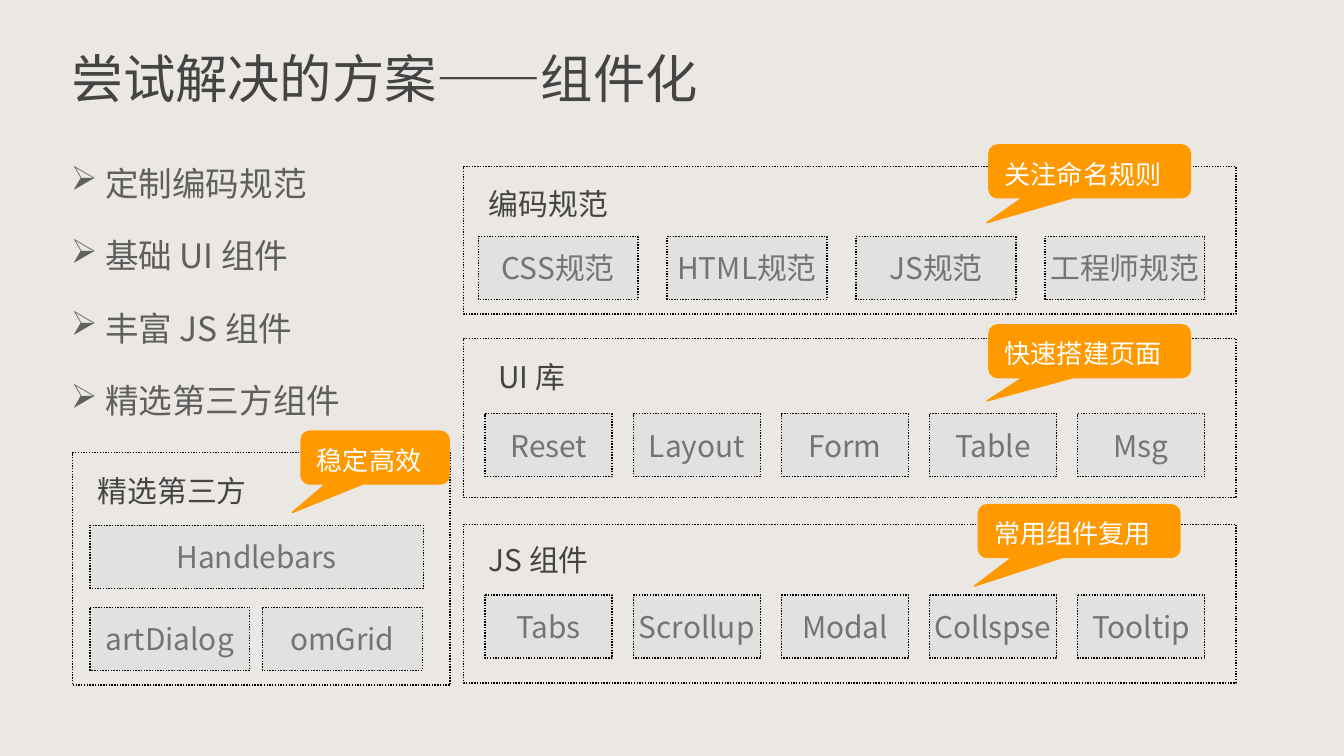
from dataclasses import dataclass

import pptx
import pptx.dml.color
import pptx.enum.dml
import pptx.enum.shapes
import pptx.enum.text
import pptx.oxml.ns
import pptx.shapes.autoshape
import pptx.slide
import pptx.text.text
import pptx.util
from lxml import etree
from pptx.util import Cm

COLORS = {
    "background": "EBE7E3",
    "heading": "444444",
    "bullet": "5F5F5F",
    "module": "E1E1E1",
    "module_text": "747474",
    "border": "000000",
    "callout": "FF9900",
    "callout_text": "FFFFFF",
}
CJK_FONT = "Noto Sans CJK SC"
MODULE_HEIGHT = 1.19
SHAPES = pptx.enum.shapes.MSO_SHAPE
ALIGN = pptx.enum.text.PP_ALIGN
ANCHOR = pptx.enum.text.MSO_ANCHOR
AUTO_SIZE = pptx.enum.text.MSO_AUTO_SIZE


@dataclass
class Box:
    left: float
    top: float
    width: float
    height: float


@dataclass
class ModuleRow:
    left: float
    top: float
    width: float
    pitch: float
    names: list[str]


@dataclass
class Panel:
    frame: Box
    caption: str
    caption_box: Box
    rows: list[ModuleRow]
    font: str = CJK_FONT


@dataclass
class Callout:
    box: Box
    text: str
    tip_x: float
    tip_y: float


PANELS = [
    Panel(Box(8.76, 3.15, 14.6, 2.79), "编码规范", Box(8.99, 3.38, 4.52, 0.94),
          [ModuleRow(9.04, 4.47, 3.02, 3.57,
                     ["CSS规范", "HTML规范", "JS规范", "工程师规范"])], "Arial"),
    Panel(Box(8.76, 6.4, 14.6, 3), "UI 库", Box(9.17, 6.65, 2.77, 0.94),
          [ModuleRow(9.17, 7.82, 2.4, 2.8,
                     ["Reset", "Layout", "Form", "Table", "Msg"])]),
    Panel(Box(8.76, 9.91, 14.6, 3), "JS 组件", Box(8.99, 10.11, 2.77, 0.94),
          [ModuleRow(9.17, 11.25, 2.4, 2.8,
                     ["Tabs", "Scrollup", "Modal", "Collspse", "Tooltip"])]),
    Panel(Box(1.37, 8.56, 7.14, 4.39), "精选第三方", Box(1.6, 8.81, 3.38, 0.94),
          [ModuleRow(1.7, 9.93, 6.3, 0, ["Handlebars"]),
           ModuleRow(1.7, 11.48, 3.02, 3.26, ["artDialog", "omGrid"])], "Arial"),
]
CALLOUTS = [
    Callout(Box(18.69, 2.74, 3.81, 1), "关注命名规则", -0.51, 0.97),
    Callout(Box(18.69, 6.14, 3.81, 1), "快速搭建页面", -0.51, 0.94),
    Callout(Box(18.49, 9.54, 3.81, 1), "常用组件复用", -0.52, 1.04),
    Callout(Box(5.69, 8.15, 2.8, 1), "稳定高效", -0.56, 1.04),
]
GOALS = [" 定制编码规范", " 基础 UI 组件", " 丰富 JS 组件", " 精选第三方组件"]


def rgb(role: str) -> pptx.dml.color.RGBColor:
    return pptx.dml.color.RGBColor.from_string(COLORS[role])


def lengths(box: Box) -> tuple[int, ...]:
    return Cm(box.left), Cm(box.top), Cm(box.width), Cm(box.height)


def write(paragraph: pptx.text.text._Paragraph, text: str, size: float,
          role: str, font: str = CJK_FONT) -> None:
    run = paragraph.add_run()
    run.text = text
    run.font.size = pptx.util.Pt(size)
    run.font.color.rgb = rgb(role)
    run.font.name = font
    east_asian = etree.SubElement(run.font._element, pptx.oxml.ns.qn("a:ea"))
    east_asian.set("typeface", CJK_FONT)


def add_filled(slide: pptx.slide.Slide, preset: SHAPES, box: Box,
               fill: str, line: str) -> pptx.shapes.autoshape.Shape:
    shape = slide.shapes.add_shape(preset, *lengths(box))
    shape.shadow.inherit = False
    shape.fill.solid()
    shape.fill.fore_color.rgb = rgb(fill)
    shape.line.color.rgb = rgb(line)
    shape.line.width = pptx.util.Pt(0.75)
    if line == "border":
        shape.line.dash_style = pptx.enum.dml.MSO_LINE.ROUND_DOT
    shape.text_frame.vertical_anchor = ANCHOR.MIDDLE
    return shape


def add_text_frame(slide: pptx.slide.Slide, box: Box) -> pptx.text.text.TextFrame:
    frame = slide.shapes.add_textbox(*lengths(box)).text_frame
    frame.word_wrap = True
    frame.auto_size = AUTO_SIZE.SHAPE_TO_FIT_TEXT
    return frame


def add_title(slide: pptx.slide.Slide, text: str) -> None:
    title = slide.shapes.title
    title.left, title.top, title.width, title.height = lengths(Box(1.09, 0.74, 17.6, 1.45))
    title.text_frame.vertical_anchor = ANCHOR.TOP
    title.text_frame.auto_size = AUTO_SIZE.SHAPE_TO_FIT_TEXT
    heading = title.text_frame.paragraphs[0]
    heading.alignment = ALIGN.LEFT
    write(heading, text, 28, "heading")


def add_goals(slide: pptx.slide.Slide, goals: list[str]) -> None:
    frame = add_text_frame(slide, Box(1.09, 2.34, 16.79, 8.18))
    for index, goal in enumerate(goals):
        paragraph = frame.add_paragraph() if index else frame.paragraphs[0]
        paragraph.line_spacing = 1.8
        properties = paragraph._p.get_or_add_pPr()
        bullet_color = etree.SubElement(properties, pptx.oxml.ns.qn("a:buClr"))
        etree.SubElement(bullet_color, pptx.oxml.ns.qn("a:srgbClr")).set("val", COLORS["bullet"])
        etree.SubElement(properties, pptx.oxml.ns.qn("a:buChar")).set("char", "➢")
        write(paragraph, goal, 18, "bullet")


def add_panel(slide: pptx.slide.Slide, panel: Panel) -> None:
    add_filled(slide, SHAPES.RECTANGLE, panel.frame, "background", "border")
    caption = add_text_frame(slide, panel.caption_box)
    write(caption.paragraphs[0], panel.caption, 16, "heading", panel.font)
    for row in panel.rows:
        for index, name in enumerate(row.names):
            box = Box(row.left + index * row.pitch, row.top, row.width, MODULE_HEIGHT)
            module = add_filled(slide, SHAPES.FLOWCHART_PROCESS, box, "module", "border")
            module.text_frame.word_wrap = False
            label = module.text_frame.paragraphs[0]
            label.alignment = ALIGN.CENTER
            write(label, name, 16, "module_text")


def add_callout(slide: pptx.slide.Slide, callout: Callout) -> None:
    bubble = add_filled(slide, SHAPES.ROUNDED_RECTANGULAR_CALLOUT, callout.box,
                        "callout", "callout")
    bubble.adjustments[0] = callout.tip_x
    bubble.adjustments[1] = callout.tip_y
    bubble.text_frame.word_wrap = True
    remark = bubble.text_frame.paragraphs[0]
    remark.alignment = ALIGN.LEFT
    remark.line_spacing = 1.15
    write(remark, callout.text, 14, "callout_text")


def main() -> None:
    deck = pptx.Presentation()
    deck.slide_width, deck.slide_height = Cm(25.4), Cm(14.29)
    slide = deck.slides.add_slide(deck.slide_layouts.get_by_name("Title Only"))
    slide.background.fill.solid()
    slide.background.fill.fore_color.rgb = rgb("background")
    add_title(slide, "尝试解决的方案——组件化")
    add_goals(slide, GOALS)
    for panel in PANELS:
        add_panel(slide, panel)
    for callout in CALLOUTS:
        add_callout(slide, callout)
    deck.save("out.pptx")


if __name__ == "__main__":
    main()
